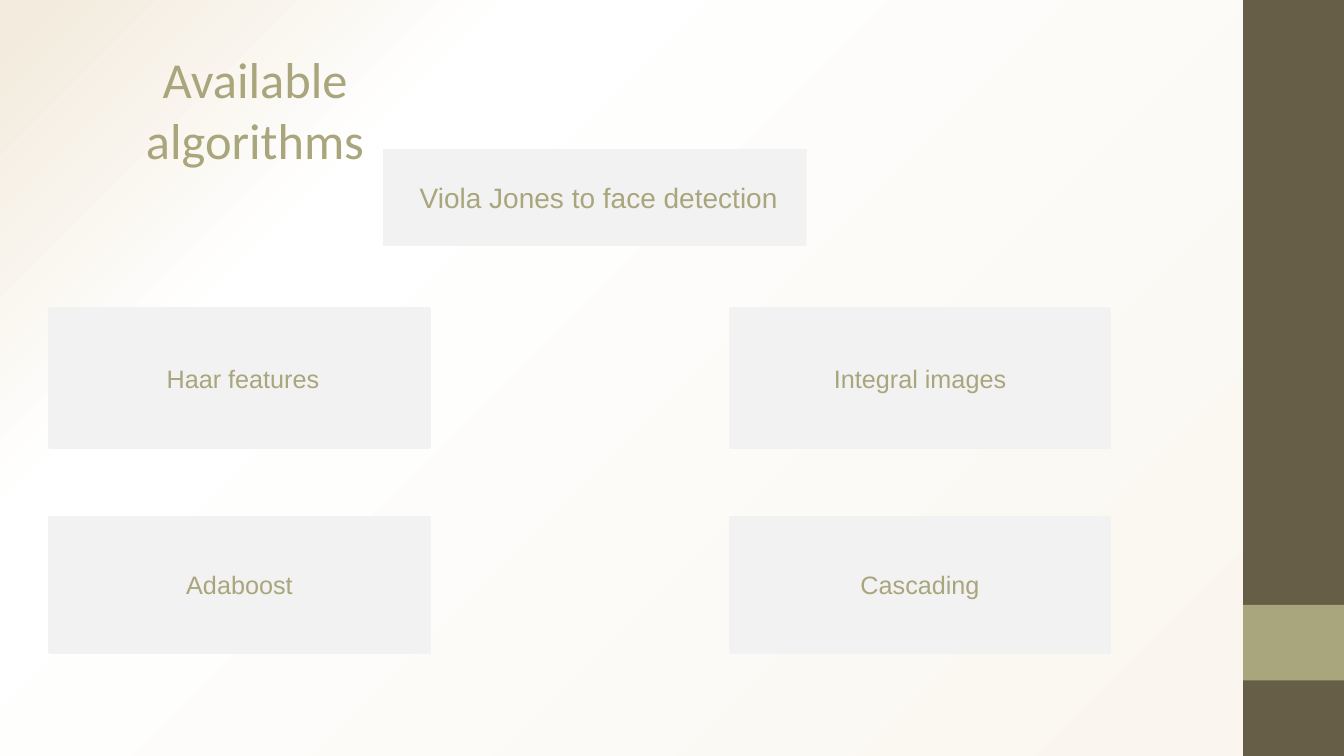
from lxml.etree import SubElement
from pptx import Presentation
from pptx.dml.color import RGBColor
from pptx.enum.shapes import MSO_SHAPE
from pptx.enum.text import MSO_ANCHOR, MSO_AUTO_SIZE, PP_ALIGN
from pptx.oxml.ns import qn
from pptx.util import Inches, Pt

WIDE, HIGH = 13.33, 7.5
SAGE, DARK, PALE = "A9A57C", "675E47", "F2F2F2"
STOPS = [(0, "F3EBDD"), (2, "F3EBDD"), (25, "FFFFFF"), (94, "FAF6EF"), (100, "FAF3ED")]
COLS = [0.49, 7.24]
ROWS = [(3.06, 1.38), (5.13, 1.34)]
STEPS = [[" Haar features", "Integral images"], ["Adaboost", "Cascading"]]


def tint(code):
    """Turn a hex string into a colour."""
    return RGBColor.from_string(code)


def write(frame, text, size, font):
    """Put one centred line of text in a frame."""
    frame.word_wrap = True
    frame.text = text
    para = frame.paragraphs[0]
    para.alignment = PP_ALIGN.CENTER
    para.font.size = Pt(size)
    para.font.name = font
    para.font.color.rgb = tint(SAGE)


def block(slide, box, fill, edge=False):
    """Draw a plain rectangle, with or without an edge."""
    shape = slide.shapes.add_shape(MSO_SHAPE.RECTANGLE, *map(Inches, box))
    shape.shadow.inherit = False
    shape.fill.solid()
    shape.fill.fore_color.rgb = tint(fill)
    if edge:
        shape.line.color.rgb = tint(fill)
        shape.line.width = Pt(2)
    else:
        shape.line.fill.background()
    return shape


def card(slide, box, text, size=18, edge=True):
    """Draw a pale block with a label in its middle."""
    frame = block(slide, box, PALE, edge).text_frame
    frame.vertical_anchor = MSO_ANCHOR.MIDDLE
    write(frame, text, size, "Arial")


def shade(slide):
    """Fill the background with a diagonal gradient."""
    fill = slide.background.fill
    fill.gradient()
    fill.gradient_angle = 315
    stops = fill.gradient_stops
    group = slide.element.find(".//" + qn("a:gsLst"))
    for stop in list(group):
        group.remove(stop)
    for place, code in STOPS:
        stop = SubElement(group, qn("a:gs"), pos=str(place * 1000))
        SubElement(stop, qn("a:srgbClr"), val=code)


def side(slide, box):
    """Draw the side band and its accent."""
    left, top, width, height = box
    block(slide, box, DARK)
    block(slide, (left, top + height * 0.8, width, height * 0.1), SAGE)


def head(slide, box):
    """Place and format the title."""
    title = slide.shapes.title
    title.left, title.top, title.width, title.height = map(Inches, box)
    frame = title.text_frame
    frame.auto_size = MSO_AUTO_SIZE.NONE
    frame.vertical_anchor = MSO_ANCHOR.TOP
    write(frame, "Available algorithms", 36, "Calibri")


def steps(slide, width):
    """Lay out the four step cards on a grid."""
    for (top, height), names in zip(ROWS, STEPS):
        for left, name in zip(COLS, names):
            card(slide, (left, top, width, height), name)


def main():
    """Build and save the slide."""
    deck = Presentation()
    deck.slide_width, deck.slide_height = Inches(WIDE), Inches(HIGH)
    slide = deck.slides.add_slide(deck.slide_layouts[5])
    shade(slide)
    side(slide, (WIDE - 1, 0, 1, HIGH))
    steps(slide, 3.77)
    card(slide, (3.8, 1.48, 4.2, 0.96), " Viola Jones to face detection", 20, False)
    head(slide, (0.43, 0.43, 4.2, 0.71))
    deck.save("out.pptx")


if __name__ == "__main__":
    main()
